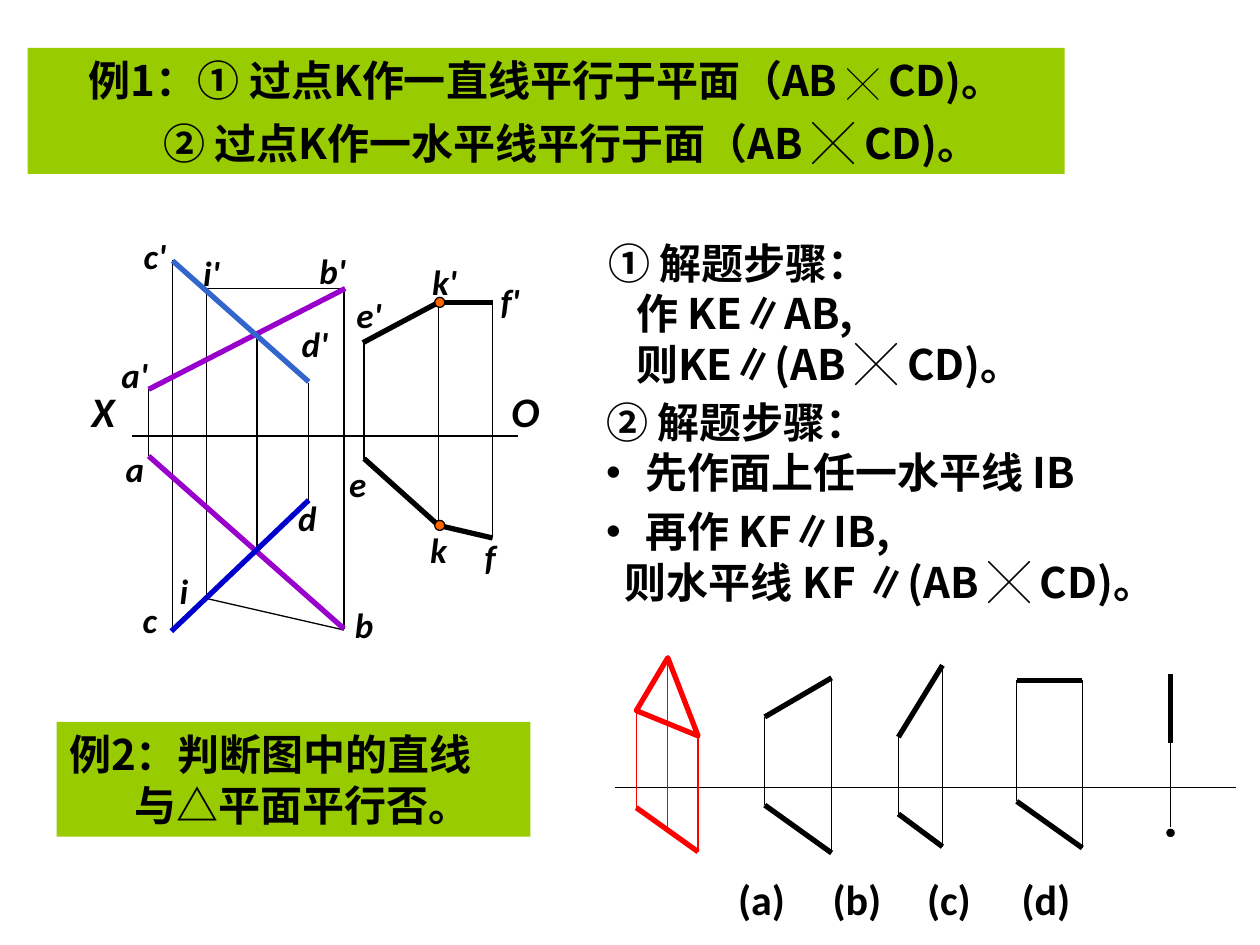
"""Build the slide on drawing lines parallel to planes."""
from lxml import etree
from pptx import Presentation
from pptx.dml.color import RGBColor
from pptx.enum.shapes import MSO_CONNECTOR, MSO_SHAPE
from pptx.enum.text import MSO_ANCHOR, MSO_AUTO_SIZE, PP_ALIGN
from pptx.oxml.ns import qn
from pptx.util import Inches, Pt

STRAIGHT = MSO_CONNECTOR.STRAIGHT
RECTANGLE, DOT = MSO_SHAPE.RECTANGLE, MSO_SHAPE.FLOWCHART_CONNECTOR
MIDDLE, NO_FIT = MSO_ANCHOR.MIDDLE, MSO_AUTO_SIZE.NONE
LEFT, CENTER = PP_ALIGN.LEFT, PP_ALIGN.CENTER
HAN, LATIN = "Noto Sans CJK SC", "Calibri"
BLACK, WHITE, GREEN, RED = "000000", "FFFFFF", "99CC00", "FF0000"
PURPLE, BLUE, NAVY, ORANGE = "9900CC", "3366CC", "0000CC", "FF6600"
THIN, THICK = 0.75, 3
AXIS = 3.46


def rgb(value):
    return RGBColor.from_string(value)


class Sheet:
    """Holds the slide, the current group of shapes and the drawing style."""

    def __init__(self, slide):
        self.slide = slide
        self.shapes = slide.shapes

    def group(self):
        self.shapes = self.slide.shapes.add_group_shape().shapes

    def ungroup(self):
        self.shapes = self.slide.shapes

    def place(self, shape, box):
        shape.left, shape.top, shape.width, shape.height = map(Inches, box)

    def format(self, frame, font=HAN, size=24, align=LEFT, italic=False, wrap=True):
        frame.auto_size, frame.word_wrap = NO_FIT, wrap
        frame.vertical_anchor = MIDDLE
        for paragraph in frame.paragraphs:
            paragraph.alignment = align
            paragraph.space_before = Pt(0)
            paragraph.line_spacing = Pt(size * 1.2)
            for run in paragraph.runs:
                run.font.name, run.font.size = font, Pt(size)
                run.font.bold, run.font.italic = True, italic
                run.font.color.rgb = rgb(BLACK)
                east_asian = etree.SubElement(run.font._element, qn("a:ea"))
                east_asian.set("typeface", font)

    def indent(self, paragraph, margin, bullet=False):
        properties = paragraph._p.get_or_add_pPr()
        properties.set("marL", str(Inches(margin)))
        properties.set("indent", str(-Inches(margin) if bullet else 0))
        if bullet:
            etree.SubElement(properties, qn("a:buFont")).set("typeface", "Arial")
            etree.SubElement(properties, qn("a:buChar")).set("char", "•")
        else:
            etree.SubElement(properties, qn("a:buNone"))

    def text(self, box, words, **style):
        shape = self.shapes.add_textbox(*map(Inches, box))
        shape.text_frame.text = words
        self.format(shape.text_frame, **style)
        return shape.text_frame

    def label(self, x, y, letter, size=20):
        height = 0.43 if size == 20 else 0.5
        self.text((x - 0.25, y, 0.5, height), letter, font=LATIN, size=size,
                  align=CENTER, italic=True, wrap=False)

    def banner(self, box, words, align):
        shape = self.shapes.add_shape(RECTANGLE, *map(Inches, box))
        shape.shadow.inherit = False
        shape.fill.solid()
        shape.fill.fore_color.rgb = rgb(GREEN)
        shape.line.fill.background()
        shape.text_frame.text = words
        self.format(shape.text_frame, align=align)
        return shape.text_frame

    def body(self, holder, box, words, margins, bulleted):
        self.place(holder, box)
        holder.text_frame.text = words
        self.format(holder.text_frame)
        for row, (paragraph, margin) in enumerate(zip(holder.text_frame.paragraphs, margins)):
            self.indent(paragraph, margin, row == bulleted)

    def lines(self, *points, color=BLACK, width=THIN):
        for start, end in zip(points, points[1:]):
            line = self.shapes.add_connector(STRAIGHT, *map(Inches, start + end))
            line.line.color.rgb, line.line.width = rgb(color), Pt(width)
            etree.SubElement(line._element.spPr, qn("a:effectLst"))

    def dot(self, x, y, fill, outline):
        shape = self.shapes.add_shape(
            DOT, *map(Inches, (x - 0.04, y - 0.04, 0.08, 0.08)))
        shape.shadow.inherit = False
        shape.fill.solid()
        shape.fill.fore_color.rgb = rgb(fill)
        shape.line.color.rgb, shape.line.width = rgb(outline), Pt(THIN)

    def triangle(self, points, color):
        corners = [tuple(map(Inches, point)) for point in points]
        builder = self.shapes.build_freeform(*corners[0])
        builder.add_line_segments(corners[1:], close=True)
        shape = builder.convert_to_shape()
        shape.shadow.inherit = False
        shape.fill.background()
        shape.line.color.rgb, shape.line.width = rgb(color), Pt(THICK)


def add_wording(sheet):
    title, steps_start, steps_end = sheet.slide.placeholders
    sheet.place(title, (0.22, 0.38, 8.23, 0.5))
    title.fill.solid()
    title.fill.fore_color.rgb = rgb(GREEN)
    heading = title.text_frame.paragraphs[0]
    for part in ("例1：① 过点K作一直线平行于平面（AB ", "╳", " CD)。"):
        heading.add_run().text = part
    sheet.format(title.text_frame, align=CENTER)
    heading.runs[1].font.size = Pt(18)

    second = sheet.banner((0.22, 0.88, 8.23, 0.5),
                          "② 过点K作一水平线平行于面（AB ╳ CD)。", CENTER)
    sheet.indent(second.paragraphs[0], 0.4)
    example = sheet.banner((0.45, 5.73, 3.76, 0.91),
                           "例2：判断图中的直线\n与△平面平行否。", LEFT)
    sheet.indent(example.paragraphs[1], 0.52)

    first_steps = sheet.text((4.73, 1.83, 3.94, 1.31),
                             "① 解题步骤：\n作 KE∥AB,\n则KE∥(AB ╳ CD)。")
    for paragraph in first_steps.paragraphs[1:]:
        sheet.indent(paragraph, 0.22)
    sheet.body(steps_start, (4.71, 3.09, 4.27, 0.91),
               "② 解题步骤：\n先作面上任一水平线 IB", (0, 0.31), 1)
    sheet.body(steps_end, (4.71, 3.96, 4.95, 0.91),
               "再作 KF∥IB,\n则水平线 KF ∥(AB ╳ CD)。", (0.31, 0.15), 0)

    choices = sheet.text((5.76, 6.88, 3.86, 0.5), "(a)\t(b)\t(c)\t(d)", font=LATIN)
    tabs = etree.SubElement(choices.paragraphs[0]._p.get_or_add_pPr(), qn("a:tabLst"))
    for column in range(1, 4):
        tab = etree.SubElement(tabs, qn("a:tab"))
        tab.set("pos", str(Inches(0.75 * column)))
        tab.set("algn", "l")


def add_first_example(sheet):
    sheet.lines((2.89, 2.71), (2.89, AXIS), (2.89, 3.64))
    sheet.lines((1.64, 2.32), (1.64, AXIS), (1.64, 4.75), (2.73, 5))
    sheet.lines((3.91, 2.4), (3.91, AXIS), (3.91, 4.26))
    sheet.lines((2.73, 2.29), (1.64, 2.29))
    sheet.lines((2.88, 2.72), (3.48, 2.4), (3.91, 2.4), width=THICK)
    sheet.lines((2.89, 3.64), (3.48, 4.17), (3.91, 4.27), width=THICK)
    for x, y, letter in ((2.93, 2.28, "e'"), (2.84, 3.62, "e"), (1.68, 1.95, "i'"),
                         (1.46, 4.47, "i"), (4.05, 2.17, "f'"), (3.89, 4.2, "f")):
        sheet.label(x, y, letter)

    sheet.group()
    sheet.lines((1.05, AXIS), (4.11, AXIS))
    for x, top, bottom in ((1.18, 3.09, 3.62), (2.73, 2.29, 4.99), (1.37, 2.06, 5.01),
                           (2.45, 3.04, 3.97), (2.04, 2.66, 4.37), (3.48, 2.41, 4.15)):
        sheet.lines((x, top), (x, bottom))
    for start, end, color in (((1.18, 3.62), (2.73, 4.99), PURPLE),
                              ((1.36, 5.01), (2.45, 3.97), NAVY),
                              ((1.18, 3.09), (2.74, 2.29), PURPLE),
                              ((1.37, 2.07), (2.45, 3.03), BLUE)):
        sheet.lines(start, end, color=color, width=THICK)
    for x, y, letter in ((1.07, 2.76, "a'"), (2.64, 1.93, "b'"), (1.23, 1.81, "c'"),
                         (2.5, 2.51, "d'"), (3.53, 2.02, "k'"), (3.48, 4.15, "k"),
                         (1.07, 3.5, "a"), (2.89, 4.74, "b"), (1.19, 4.7, "c"),
                         (2.44, 3.89, "d")):
        sheet.label(x, y, letter)
    sheet.label(0.82, 3.01, "X", size=24)
    sheet.label(4.17, 3.01, "O", size=24)
    for y in (2.4, 4.17):
        sheet.dot(3.49, y, ORANGE, BLACK)
    sheet.ungroup()


def add_second_example(sheet):
    sheet.lines((4.88, 6.25), (9.81, 6.25))

    sheet.group()
    sheet.lines((5.05, 6.41), (5.54, 6.76), color=RED, width=THICK)
    for x, top, bottom in ((5.05, 5.63, 6.41), (5.3, 5.22, 6.59), (5.54, 5.84, 6.76)):
        sheet.lines((x, bottom), (x, top), color=RED)
    sheet.triangle(((5.05, 5.64), (5.3, 5.22), (5.54, 5.84)), RED)

    for left, right, upper, lower in ((6.07, 6.6, (5.69, 5.38), (6.39, 6.77)),
                                      (7.13, 7.48, (5.85, 5.28), (6.46, 6.72)),
                                      (8.07, 8.59, (5.4, 5.4), (6.36, 6.73))):
        sheet.group()
        for x, top, bottom in zip((left, right), upper, lower):
            sheet.lines((x, bottom), (x, top))
        for start, end in (upper, lower):
            sheet.lines((left, start), (right, end), width=THICK)

    sheet.group()
    sheet.lines((9.29, 5.35), (9.29, 5.9), width=THICK)
    sheet.lines((9.29, 5.9), (9.29, 6.62))
    sheet.dot(9.29, 6.61, BLACK, WHITE)
    sheet.ungroup()


def main():
    deck = Presentation()
    deck.slide_width, deck.slide_height = Inches(10), Inches(7.5)
    slide = deck.slides.add_slide(deck.slide_layouts[3])
    sheet = Sheet(slide)
    add_wording(sheet)
    add_first_example(sheet)
    add_second_example(sheet)
    deck.save("out.pptx")


if __name__ == "__main__":
    main()
